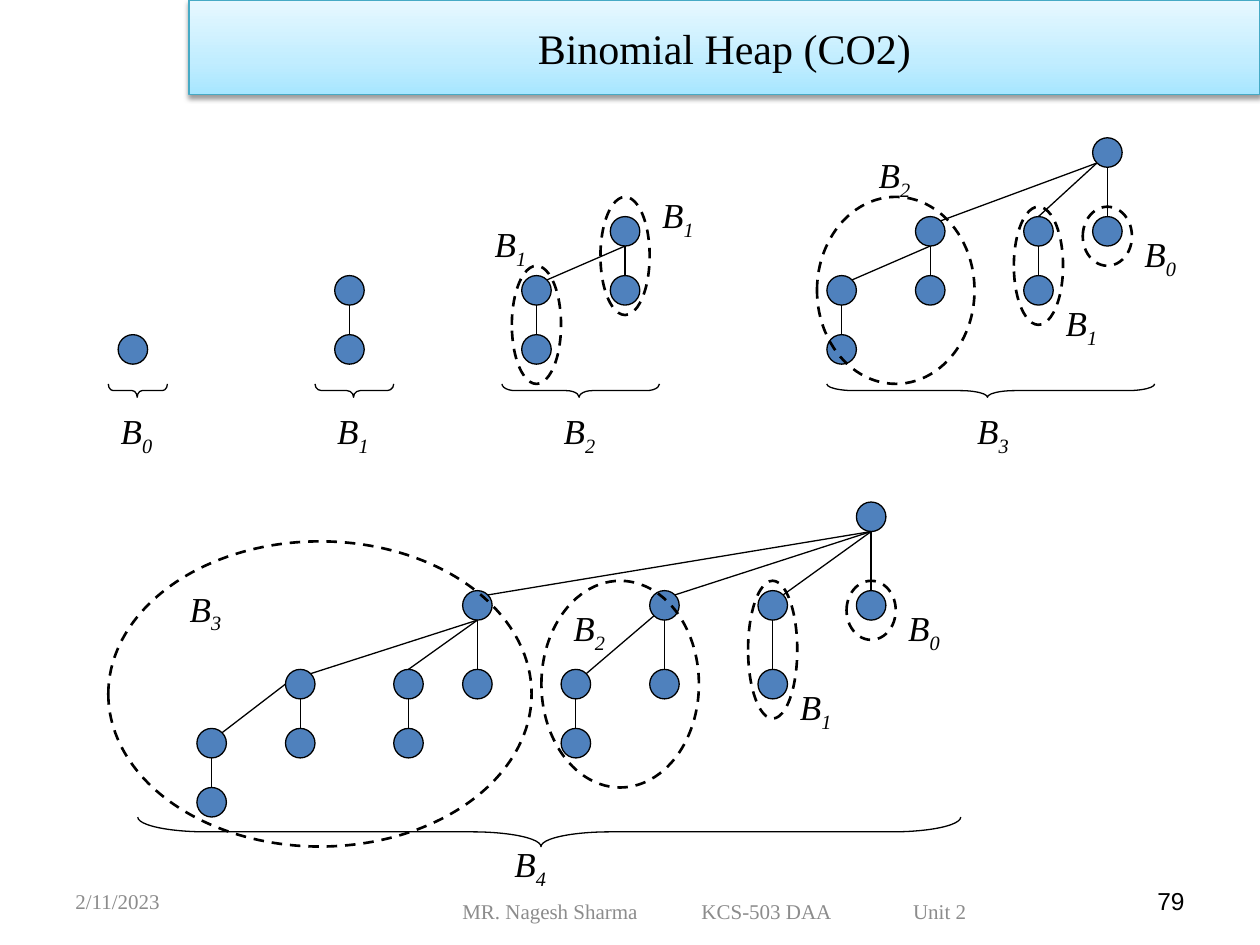
"""Build the slide of binomial trees B0 to B4 on a grid of 128 by 96 cells."""
from copy import deepcopy
from dataclasses import dataclass
from typing import NamedTuple

from lxml import etree
from pptx import Presentation
from pptx import util as u
from pptx.dml.color import RGBColor
from pptx.enum import dml, shapes, text
from pptx.oxml.ns import qn

CELL = u.Inches(10 / 128)
NODE_SIZE = 3
SERIF = "Times New Roman"
BLACK, GREY, BLUE = "000000", "8C8C8C", "4F81BD"
ANCHORS = {"top": (1.5, 0), "bottom": (1.5, 3), "left": (0, 1.5),
           "upper right": (2.56, 0.44), "lower left": (0.44, 2.56)}


class Box(NamedTuple):
    """A rectangle in grid columns and rows."""
    column: float
    row: float
    width: float
    height: float


class Label(NamedTuple):
    """The order of a tree and the cell where its name stands."""
    order: int
    column: float
    row: float


@dataclass(frozen=True)
class Node:
    """A tree node, its children and the two ends of the line to its parent."""
    column: float
    row: float
    children: tuple = ()
    own_end: str = "top"
    parent_end: str = "bottom"

    def anchor(self, name: str) -> tuple:
        """Return a point on the outline of the node."""
        across, down = ANCHORS[name]
        return self.column + across, self.row + down


TREES = (
    Node(12, 34),
    Node(34, 28, (Node(34, 34),)),
    Node(62, 22, (Node(53, 28, (Node(53, 34),), "upper right"), Node(62, 28))),
    Node(111, 14, (
        Node(93, 22, (Node(84, 28, (Node(84, 34),), "upper right"), Node(93, 28)),
             "upper right", "lower left"),
        Node(104, 22, (Node(104, 28),), "top", "lower left"),
        Node(111, 22))),
    Node(87, 51, (
        Node(47, 60, (
            Node(29, 68, (Node(20, 74, (Node(20, 80),), "upper right", "left"),
                          Node(29, 74)), "upper right"),
            Node(40, 68, (Node(40, 74),)),
            Node(47, 68)), "upper right"),
        Node(66, 60, (Node(57, 68, (Node(57, 74),), "upper right", "lower left"),
                      Node(66, 68)), "upper right"),
        Node(77, 60, (Node(77, 68),), "upper right"),
        Node(87, 60))),
)
RINGS = (
    Box(61, 20, 5, 12), Box(52, 27, 5, 12), Box(83, 20, 16, 19),
    Box(110, 21, 5, 6), Box(103, 21, 5, 12), Box(11, 55, 43, 31),
    Box(55, 59, 16, 21), Box(76, 59, 5, 14), Box(86, 59, 5, 6),
)
BRACES = (
    Box(11, 39, 6, 1.36), Box(32, 39, 8, 1.36), Box(51, 39, 16, 1.36),
    Box(84, 39, 33.3, 1.36), Box(14, 83, 83.6, 3),
)
LABELS = (
    Label(0, 11, 41), Label(1, 33, 41), Label(2, 56, 41), Label(3, 98, 41),
    Label(1, 49, 22), Label(1, 66, 19), Label(2, 88, 15), Label(1, 107, 30),
    Label(0, 115, 23), Label(3, 18, 59), Label(2, 57, 61), Label(1, 80, 69),
    Label(0, 91, 61), Label(4, 51, 85),
)


def color(value: str) -> RGBColor:
    """Turn a hex string into a colour."""
    return RGBColor.from_string(value)


def cells(*values: float) -> list:
    """Turn grid cells into slide lengths."""
    return [u.Emu(round(value * CELL)) for value in values]


def set_line(line, value: str = BLACK, width: float = 0.75) -> None:
    """Give a line its colour and width."""
    line.color.rgb = color(value)
    line.width = u.Pt(width)


def add_outline(slide, kind, box: Box):
    """Add an unfilled black preset shape."""
    shape = slide.shapes.add_shape(kind, *cells(*box))
    shape.shadow.inherit = False
    shape.fill.background()
    set_line(shape.line)
    return shape


def add_run(paragraph, words: str, size: float, value: str = BLACK, name: str = SERIF):
    """Add a run of text to a paragraph."""
    run = paragraph.add_run()
    run.text = words
    run.font.size = u.Pt(size)
    run.font.name = name
    run.font.color.rgb = color(value)
    return run


def draw_tree(slide, node: Node) -> None:
    """Draw a node with its lines and subtrees."""
    box = Box(node.column, node.row, NODE_SIZE, NODE_SIZE)
    shape = add_outline(slide, shapes.MSO_SHAPE.OVAL, box)
    shape.fill.solid()
    shape.fill.fore_color.rgb = color(BLUE)
    for child in node.children:
        ends = cells(*child.anchor(child.own_end), *node.anchor(child.parent_end))
        link = slide.shapes.add_connector(shapes.MSO_CONNECTOR.STRAIGHT, *ends)
        set_line(link.line)
        etree.SubElement(link._element.spPr, qn("a:effectLst"))
        draw_tree(slide, child)


def draw_ring(slide, box: Box) -> None:
    """Draw a dashed ellipse around a subtree."""
    ring = add_outline(slide, shapes.MSO_SHAPE.OVAL, box)
    set_line(ring.line, width=1.5)
    ring.line.dash_style = dml.MSO_LINE.DASH


def draw_brace(slide, box: Box) -> None:
    """Draw a brace that lies under a tree and points down."""
    upright = Box(box.column + (box.width - box.height) / 2,
                  box.row + (box.height - box.width) / 2, box.height, box.width)
    brace = add_outline(slide, shapes.MSO_SHAPE.LEFT_BRACE, upright)
    brace.rotation = 270
    brace.adjustments[0] = box.width / box.height / 12
    brace.adjustments[1] = 0.49


def draw_label(slide, label: Label) -> None:
    """Write the name of a tree with its order as subscript."""
    frame = slide.shapes.add_textbox(*cells(label.column, label.row, 6, 5.6)).text_frame
    frame.word_wrap = False
    for words in ("B", str(label.order)):
        run = add_run(frame.paragraphs[0], words, 20)
        run.font.italic = True
    run.font._element.set("baseline", "-25000")


def draw_title(slide) -> None:
    """Draw the title bar with its gradient and shadow."""
    bar = add_outline(slide, shapes.MSO_SHAPE.RECTANGLE, Box(19.2, 0, 108.8, 9.6))
    set_line(bar.line, "46AAC5")
    bar.fill.gradient()
    bar.fill.gradient_angle = 90
    properties = bar._element.spPr
    stop_list = properties.find(".//" + qn("a:gsLst"))
    stop_list.append(deepcopy(stop_list[0]))
    stops = ((0, "A7E6FF"), (0.35, "C1EDFF"), (1, "E7F8FF"))
    for stop, (position, value) in zip(bar.fill.gradient_stops, stops):
        stop.position = position
        stop.color.rgb = color(value)
    shadow = etree.SubElement(properties.find(qn("a:effectLst")), qn("a:outerShdw"),
                              blurRad=str(u.Pt(3.1)), dist=str(u.Pt(1.6)),
                              dir="5400000", rotWithShape="0")
    tint = etree.SubElement(shadow, qn("a:srgbClr"), val=BLACK)
    etree.SubElement(tint, qn("a:alpha"), val="38000")
    bar.text_frame.vertical_anchor = text.MSO_ANCHOR.MIDDLE
    paragraph = bar.text_frame.paragraphs[0]
    paragraph.alignment = text.PP_ALIGN.CENTER
    add_run(paragraph, "Binomial Heap (CO2)", 24)


def add_footer(slide, box: Box):
    """Add a footer box and return its paragraph."""
    frame = slide.shapes.add_textbox(*cells(*box)).text_frame
    frame.word_wrap = True
    frame.vertical_anchor = text.MSO_ANCHOR.MIDDLE
    return frame.paragraphs[0]


def draw_footers(slide) -> None:
    """Write the date, the course line and the slide number."""
    add_run(add_footer(slide, Box(6.4, 89, 29.8, 5.1)), "2/11/2023", 12, GREY)
    course = add_footer(slide, Box(45.7, 90, 57, 5.1))
    tabs = etree.SubElement(course._p.get_or_add_pPr(), qn("a:tabLst"))
    for column in (24.3, 45.8):
        etree.SubElement(tabs, qn("a:tab"), pos=str(cells(column)[0]), algn="l")
    add_run(course, "MR. Nagesh Sharma\tKCS-503 DAA\tUnit 2", 12, GREY)
    number = add_footer(slide, Box(91.8, 89, 29.8, 5.1))
    number.alignment = text.PP_ALIGN.RIGHT
    add_run(number, "79", 14, name="Arial")


def main() -> None:
    """Build and save the presentation."""
    presentation = Presentation()
    presentation.slide_width, presentation.slide_height = cells(128, 96)
    slide = presentation.slides.add_slide(presentation.slide_layouts[6])
    for draw, items in ((draw_tree, TREES), (draw_ring, RINGS),
                        (draw_brace, BRACES), (draw_label, LABELS)):
        for item in items:
            draw(slide, item)
    draw_title(slide)
    draw_footers(slide)
    presentation.save("out.pptx")


if __name__ == "__main__":
    main()
